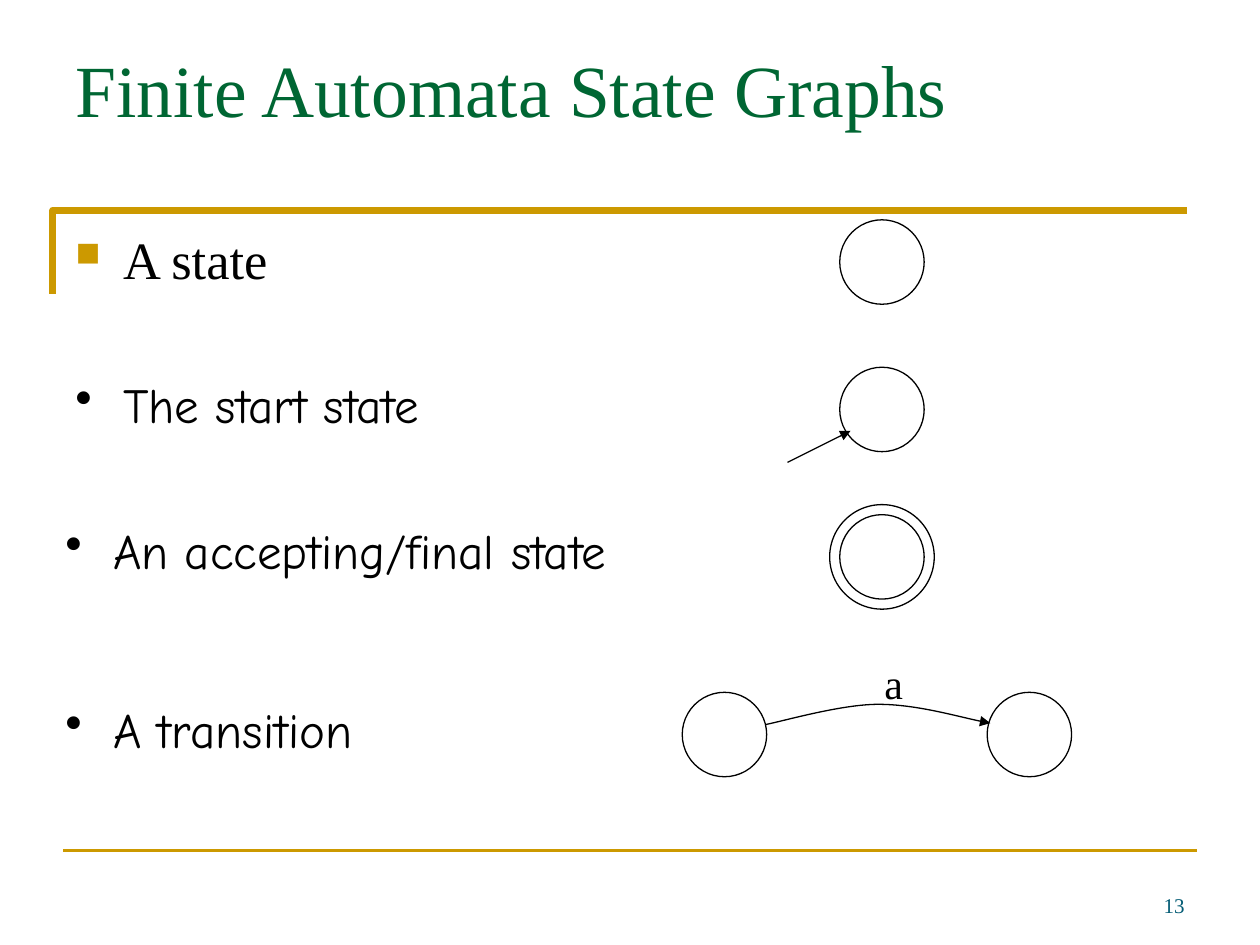
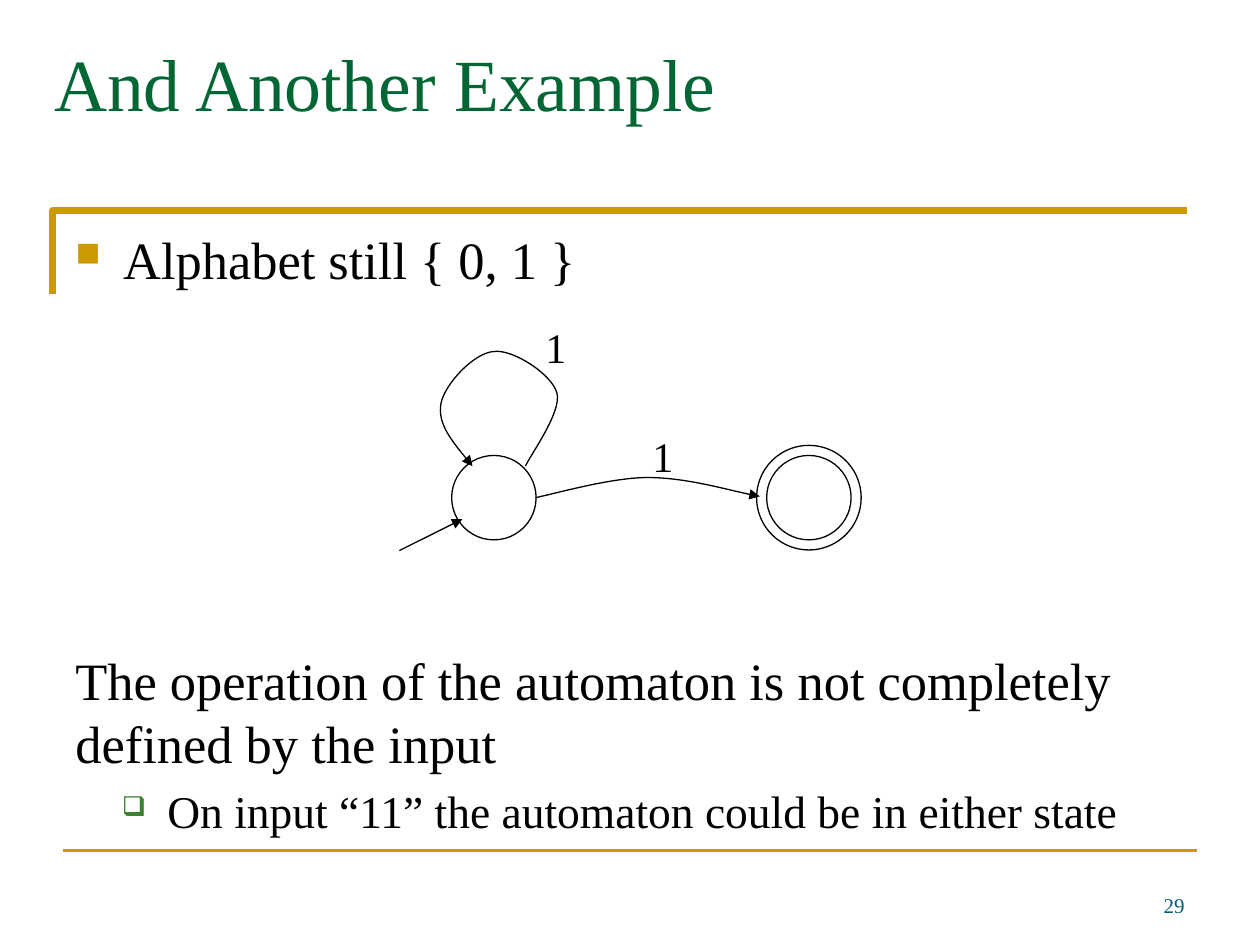
from lxml import etree
from pptx import Presentation
from pptx import util as u
from pptx.dml.color import RGBColor
from pptx.enum import shapes, text
from pptx.oxml.ns import qn

GOLD = RGBColor(0xCC, 0x99, 0x00)
GREEN = RGBColor(0x00, 0x66, 0x33)
LEAF = RGBColor(0x3B, 0x81, 0x2F)
TEAL = RGBColor(0x04, 0x5C, 0x75)
BLACK = RGBColor(0, 0, 0)
SERIF = "Times New Roman"
HAND = "Comic Neue"

STATE = 0.67   # diameter of a state
RING = 0.83    # diameter of the outer ring of a final state
SQUARE_BULLET = {"char": "■", "color": GOLD, "percent": 65}
BOX_BULLET = {"char": "❑", "color": LEAF, "percent": 60}
DOT_BULLET = {"char": "•"}

# Bezier points, relative to the start of each curve
ARC = [(0.15, -0.03), (0.6, -0.16), (0.89, -0.16),
       (1.19, -0.16), (1.6, -0.04), (1.78, -0.01)]
LOOP = [(0.04, -0.09), (0.29, -0.43), (0.25, -0.58),
        (0.21, -0.73), (-0.1, -0.93), (-0.25, -0.91),
        (-0.41, -0.9), (-0.64, -0.65), (-0.67, -0.5),
        (-0.7, -0.34), (-0.56, -0.17), (-0.42, 0)]


def inches(*values):
    return [u.Inches(value) for value in values]


# Text
def write(para, words, size=30, font=SERIF, color=BLACK,
          align=text.PP_ALIGN.LEFT):
    para.alignment = align
    span = para.add_run()
    span.text = words
    span.font.size = u.Pt(size)
    span.font.name = font
    span.font.color.rgb = color


def add_bullet(para, char, color=BLACK, percent=100, margin=0.38, hanging=0.38):
    properties = para._p.get_or_add_pPr()
    properties.set("marL", str(u.Inches(margin)))
    properties.set("indent", str(-u.Inches(hanging)))
    tint = etree.SubElement(properties, qn("a:buClr"))
    etree.SubElement(tint, qn("a:srgbClr"), val=str(color))
    etree.SubElement(properties, qn("a:buSzPct"), val=str(percent * 1000))
    etree.SubElement(properties, qn("a:buChar"), char=char)


def add_text(page, left, top, width, height, words, wrap=True,
             anchor=text.MSO_ANCHOR.TOP, **style):
    box = page.shapes.add_textbox(*inches(left, top, width, height))
    box.text_frame.word_wrap = wrap
    box.text_frame.vertical_anchor = anchor
    write(box.text_frame.paragraphs[0], words, **style)
    return box


def add_item(page, left, top, words, bullet=None, height=0.58, size=30, **style):
    box = add_text(page, left, top, 9, height, words, size=size, **style)
    para = box.text_frame.paragraphs[0]
    para.space_before = u.Pt(size * 0.2)
    if bullet:
        add_bullet(para, **bullet)
    return box


def add_label(page, left, top, words):
    add_text(page, left, top, 0.37, 0.5, words, wrap=False, size=24)


# Lines and curves
def style_line(shape, color=BLACK, width=0.75, arrow=False):
    shape.line.color.rgb = color
    shape.line.width = u.Pt(width)
    if arrow:
        etree.SubElement(shape.line._get_or_add_ln(), qn("a:tailEnd"),
                         type="triangle")


def add_line(page, start, end, **style):
    line = page.shapes.add_connector(
        shapes.MSO_CONNECTOR.STRAIGHT, *inches(*start, *end))
    style_line(line, **style)
    etree.SubElement(line._element.spPr, qn("a:effectLst"))


def add_outline(page, points, **style):
    corners = [tuple(inches(*point)) for point in points]
    builder = page.shapes.build_freeform(*corners[0], scale=1.0)
    builder.add_line_segments(corners[1:], close=False)
    outline = builder.convert_to_shape()
    outline.fill.background()
    outline.shadow.inherit = False
    style_line(outline, **style)
    return outline


def add_curve(page, left, top, offsets):
    """Draw an arrow whose points, three by three, form cubic Bezier pieces."""
    points = [(left, top)] + [(left + x, top + y) for x, y in offsets]
    curve = add_outline(page, points, arrow=True)
    segments = list(curve._element.iter(qn("a:lnTo")))
    for first in range(0, len(segments), 3):
        piece = etree.Element(qn("a:cubicBezTo"))
        segments[first].addprevious(piece)
        for segment in segments[first:first + 3]:
            piece.append(segment[0])
            segment.getparent().remove(segment)


# States
def add_circle(page, center_x, center_y, size):
    circle = page.shapes.add_shape(
        shapes.MSO_SHAPE.OVAL,
        *inches(center_x - size / 2, center_y - size / 2, size, size))
    circle.fill.background()
    circle.shadow.inherit = False
    style_line(circle)


def add_state(page, center_x, center_y, start=False, final=False):
    add_circle(page, center_x, center_y, STATE)
    if final:
        add_circle(page, center_x, center_y, RING)
    if start:
        add_line(page, (center_x - 0.75, center_y + 0.42),
                 (center_x - 0.25, center_y + 0.17), arrow=True)


# Shared frame, title and page number
def add_page(deck, title, left, top, width, height, number):
    page = deck.slides.add_slide(deck.slide_layouts[5])
    add_outline(page, [(0.42, 2.33), (0.42, 1.67), (9.42, 1.67)],
                color=GOLD, width=4)
    add_line(page, (0.5, 6.75), (9.5, 6.75), color=GOLD, width=2)
    add_text(page, 7.17, 6.83, 2.33, 0.5, number, size=12, color=TEAL,
             anchor=text.MSO_ANCHOR.BOTTOM, align=text.PP_ALIGN.RIGHT)
    heading = page.shapes.title
    heading.left, heading.top, heading.width, heading.height = inches(
        left, top, width, height)
    frame = heading.text_frame
    frame.word_wrap = True
    frame.auto_size = text.MSO_AUTO_SIZE.NONE
    frame.vertical_anchor = text.MSO_ANCHOR.TOP
    write(frame.paragraphs[0], title, size=42, color=GREEN)
    return page


def build_state_graphs(deck):
    page = add_page(deck, "Finite Automata State Graphs", 0.5, 0.3, 9, 1.25, "13")
    add_item(page, 0.5, 1.75, "A state", SQUARE_BULLET)
    for left, top, words in [(0.5, 2.92, "The start state"),
                             (0.42, 4.08, "An accepting/final state"),
                             (0.42, 5.5, "A transition")]:
        add_item(page, left, top, words, DOT_BULLET, size=28, font=HAND)

    add_state(page, 7, 2.08)
    add_state(page, 7, 3.25, start=True)
    add_state(page, 7, 4.42, final=True)

    # Transition between two states
    add_state(page, 5.75, 5.83)
    add_state(page, 8.17, 5.83)
    add_curve(page, 6.08, 5.75, ARC)
    add_label(page, 6.92, 5.17, "a")


def build_example(deck):
    page = add_page(deck, "And Another Example", 0.33, 0.25, 9.5, 0.92, "29")
    add_item(page, 0.5, 1.75, "Alphabet still { 0, 1 }", SQUARE_BULLET)
    remark = add_item(
        page, 0.5, 5.09,
        "The operation of the automaton is not completely defined by the input",
        height=1.61)
    detail = remark.text_frame.add_paragraph()
    detail.level = 1
    detail.space_before = u.Pt(5.2)
    write(detail, "On input “11” the automaton could be in either state", size=26)
    add_bullet(detail, margin=0.73, hanging=0.36, **BOX_BULLET)

    # Automaton
    add_state(page, 3.92, 3.95, start=True)
    add_state(page, 6.42, 3.95, final=True)
    add_curve(page, 4.25, 3.95, ARC)
    add_label(page, 5.08, 3.37, "1")
    add_curve(page, 4.17, 3.7, LOOP)
    add_label(page, 4.23, 2.5, "1")


def main():
    deck = Presentation()
    deck.slide_width, deck.slide_height = inches(10, 7.5)
    build_state_graphs(deck)
    build_example(deck)
    deck.save("out.pptx")


if __name__ == "__main__":
    main()
